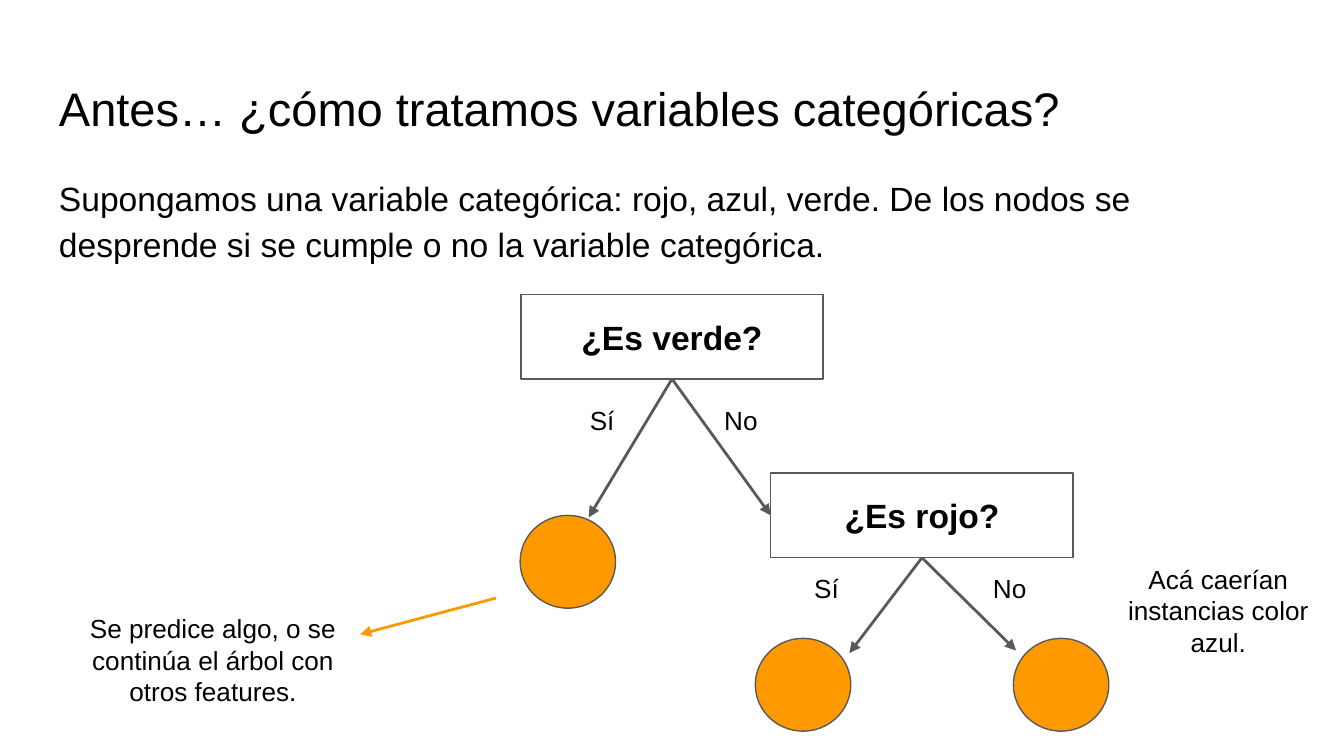
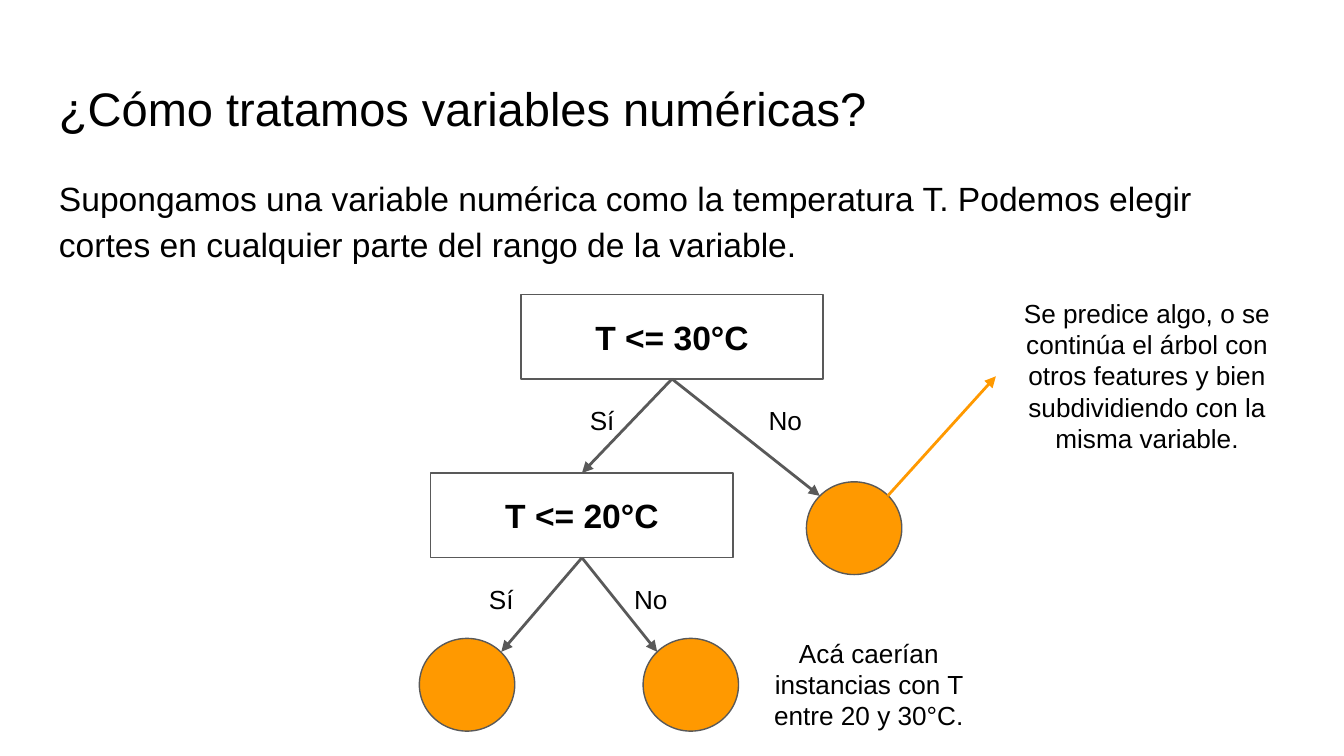
from lxml import etree
from pptx import Presentation
from pptx import util as u
from pptx.dml.color import RGBColor
from pptx.enum import shapes, text
from pptx.oxml.ns import qn

PX = 4572
INK, GRAY, ORANGE, WHITE = "000000", "595959", "FF9900", "FFFFFF"
LEFT, CENTER = text.PP_ALIGN.LEFT, text.PP_ALIGN.CENTER
FIT, FIXED = text.MSO_AUTO_SIZE.SHAPE_TO_FIT_TEXT, text.MSO_AUTO_SIZE.NONE
TOP, MIDDLE = text.MSO_ANCHOR.TOP, text.MSO_ANCHOR.MIDDLE
RECT, OVAL = shapes.MSO_SHAPE.RECTANGLE, shapes.MSO_SHAPE.OVAL
NODE_W, NODE_H = 450, 126
LEAF_W, LEAF_H = 142, 138

FORMATS = {
    "title": dict(size=25.2, bold=False, para={"alignment": LEFT},
                  frame={"auto_size": FIXED, "vertical_anchor": TOP}),
    "body": dict(size=18, bold=False,
                 para={"alignment": LEFT, "line_spacing": 1.15, "space_after": u.Pt(12)},
                 frame={"auto_size": FIXED, "vertical_anchor": TOP}),
    "node": dict(size=18, bold=True, para={"alignment": CENTER},
                 frame={"auto_size": FIXED, "vertical_anchor": MIDDLE}),
    "label": dict(size=14, bold=False, para={"alignment": LEFT},
                  frame={"auto_size": FIT, "vertical_anchor": TOP}),
    "note": dict(size=14, bold=False, para={"alignment": CENTER},
                 frame={"auto_size": FIT, "vertical_anchor": TOP}),
}

SLIDES = [
    dict(
        title="Antes… ¿cómo tratamos variables categóricas?",
        body="Supongamos una variable categórica: rojo, azul, verde. De los nodos se "
             "desprende si se cumple o no la variable categórica.",
        body_h=748,
        nodes=[("¿Es verde?", 775, 438), ("¿Es rojo?", 1147, 704)],
        child_side=1,
        arrows=[(0, 876, 770), (1, 1512, 968), (1, 1264, 972)],
        labels=[("Sí", 858, 582), ("Sí", 1192, 832), ("No", 1458, 832), ("No", 1058, 582)],
        leaves=[(774, 767), (1124, 950), (1508, 950)],
        pointer=(738, 890, 536, 944),
        notes=[("Se predice algo, o se continúa el árbol con otros features.", 92, 892, 450, 182),
               ("Acá caerían instancias color azul.", 1628, 818, 370, 182)],
    ),
    dict(
        title="¿Cómo tratamos variables numéricas?",
        body="Supongamos una variable numérica como la temperatura T. Podemos elegir "
             "cortes en cualquier parte del rango de la variable.",
        body_h=174,
        nodes=[("T <= 30°C", 775, 438), ("T <= 20°C", 641, 704)],
        child_side=0,
        arrows=[(0, 1220, 738), (1, 978, 970), (1, 746, 970)],
        labels=[("Sí", 858, 582), ("Sí", 708, 848), ("No", 924, 848), ("No", 1124, 582)],
        leaves=[(1200, 717), (624, 950), (957, 950)],
        pointer=(1321, 738, 1482, 560),
        notes=[("Se predice algo, o se continúa el árbol con otros features y bien "
                "subdividiendo con la misma variable.", 1482, 422, 450, 276),
               ("Acá caerían instancias con T entre 20 y 30°C.", 1108, 928, 370, 182)],
    ),
]


def rgb(value):
    return RGBColor.from_string(value)


def write(sp, words, kind):
    fmt = FORMATS[kind]
    tf = sp.text_frame
    tf.word_wrap = True
    for side in ("left", "top", "right", "bottom"):
        setattr(tf, f"margin_{side}", 20 * PX)
    for name, value in fmt["frame"].items():
        setattr(tf, name, value)
    p = tf.paragraphs[0]
    for name, value in fmt["para"].items():
        setattr(p, name, value)
    r = p.add_run()
    r.text = words
    for name, value in dict(name="Arial", size=u.Pt(fmt["size"]), bold=fmt["bold"]).items():
        setattr(r.font, name, value)
    r.font.color.rgb = rgb(INK)


prs = Presentation()
prs.slide_width, prs.slide_height = 2000 * PX, 1125 * PX

for data in SLIDES:
    s = prs.slides.add_slide(prs.slide_layouts[6])
    s.background.fill.solid()
    s.background.fill.fore_color.rgb = rgb(WHITE)

    boxes = [(data["title"], "title", 68, 98, 1864, 126),
             (data["body"], "body", 68, 236, 1864, data["body_h"])]
    boxes += [(words, "label", x, y, 94, 88) for words, x, y in data["labels"]]
    boxes += [(words, "note", *box) for words, *box in data["notes"]]
    for words, kind, *box in boxes:
        write(s.shapes.add_textbox(*(v * PX for v in box)), words, kind)

    parts = [(RECT, words, WHITE, x, y, NODE_W, NODE_H) for words, x, y in data["nodes"]]
    parts += [(OVAL, "", ORANGE, x, y, LEAF_W, LEAF_H) for x, y in data["leaves"]]
    nodes = []
    for preset, words, fill, *box in parts:
        sp = s.shapes.add_shape(preset, *(v * PX for v in box))
        sp.shadow.inherit = False
        sp.fill.solid()
        sp.fill.fore_color.rgb = rgb(fill)
        sp.line.color.rgb = rgb(GRAY)
        sp.line.width = u.Pt(0.75)
        if words:
            write(sp, words, "node")
            nodes.append(sp)

    links = [(nodes[0], nodes[1], (0, 0, 0, 0), GRAY)]
    links += [(nodes[i], None, (0, 0, x, y), GRAY) for i, x, y in data["arrows"]]
    links += [(None, None, data["pointer"], ORANGE)]
    for start, end, ends, color in links:
        c = s.shapes.add_connector(shapes.MSO_CONNECTOR.STRAIGHT, *(v * PX for v in ends))
        if start is not None:
            c.begin_connect(start, 2)
        if end is not None:
            c.end_connect(end, data["child_side"])
        c.line.color.rgb = rgb(color)
        c.line.width = u.Pt(1.5)
        etree.SubElement(c.line._get_or_add_ln(), qn("a:tailEnd"), type="triangle")
        etree.SubElement(c._element.spPr, qn("a:effectLst"))

prs.save("out.pptx")
